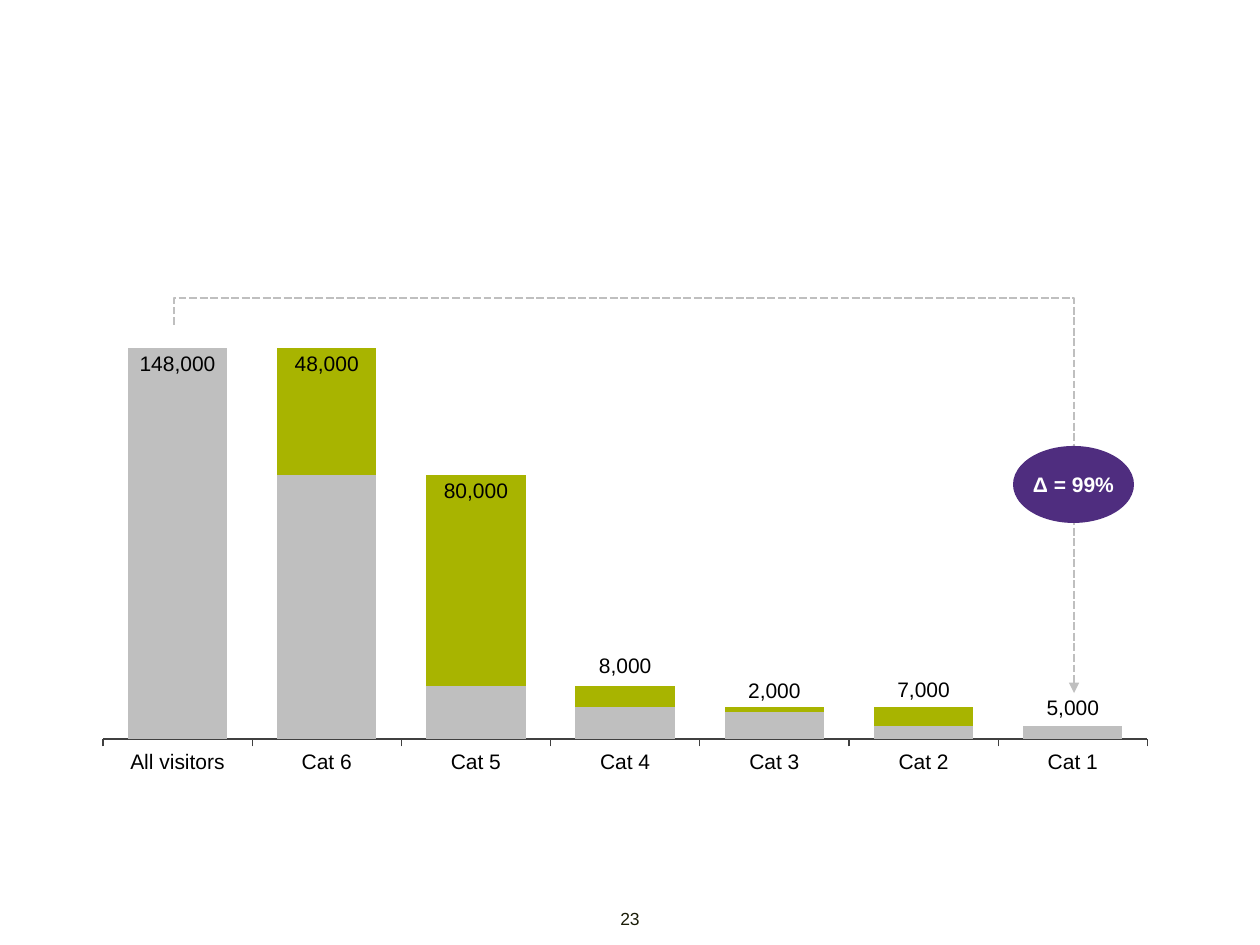
"""Build the visitor waterfall slide: stacked columns with a delta callout."""
from dataclasses import dataclass, field
from typing import Optional

from lxml import etree
from pptx import Presentation
from pptx import util as u
from pptx.chart.data import CategoryChartData
from pptx.dml.color import RGBColor
from pptx.enum import chart as ch
from pptx.enum import dml, shapes, text
from pptx.oxml import parse_xml
from pptx.oxml.ns import nsdecls, qn

SCALE = 914400 / 126


@dataclass(frozen=True)
class Theme:
    font: str = "Arial"
    body: int = 12
    small: int = 10
    ink: str = "000000"
    page: str = "1B1D08"
    axis: str = "404040"
    grey: str = "BFBFBF"
    green: str = "A8B400"
    purple: str = "4F2D7F"
    white: str = "FFFFFF"


@dataclass(frozen=True)
class Box:
    x: int
    y: int
    w: int
    h: int

    def emu(self) -> tuple:
        return tuple(px(v) for v in (self.x, self.y, self.w, self.h))


@dataclass(frozen=True)
class Series:
    name: str
    color: str
    values: tuple[Optional[int], ...]
    label_shifts: dict[int, int] = field(default_factory=dict)


THEME = Theme()
CHART = Box(82, 299, 1103, 495)
PLOT = Box(21, 18, 1045, 422)
BADGE = Box(1013, 446, 121, 77)
PAGE = Box(611, 907, 38, 22)
ROUTE = ((174, 325), (174, 298), (1074, 298), (1074, 693))
CATEGORIES = ("All visitors", "Cat 6", "Cat 5", "Cat 4", "Cat 3", "Cat 2", "Cat 1")
SERIES = (
    Series("Series 1", THEME.grey,
           (148000, 100000, 20000, 12000, 10000, 5000, 5000), {0: 0, 6: -33}),
    Series("Series 2", THEME.green,
           (None, 48000, 80000, 8000, 2000, 7000, None),
           {1: 0, 2: 0, 3: -36, 4: -32, 5: -33}),
)


def px(value: int) -> u.Emu:
    return u.Emu(round(value * SCALE))


def rgb(color: str) -> RGBColor:
    return RGBColor.from_string(color)


def set_font(font, size: int, color: str, bold: bool = False) -> None:
    font.name, font.size, font.bold = THEME.font, u.Pt(size), bold
    font.color.rgb = rgb(color)


def write(sp, words: str, size: int, color: str, bold: bool = False) -> None:
    tf = sp.text_frame
    tf.margin_left = tf.margin_right = tf.margin_top = tf.margin_bottom = 0
    tf.word_wrap = True
    tf.vertical_anchor = text.MSO_ANCHOR.MIDDLE
    p = tf.paragraphs[0]
    p.text, p.alignment = words, text.PP_ALIGN.CENTER
    set_font(p.font, size, color, bold)


def manual_layout(**settings):
    items = "".join(f'<c:{key} val="{val}"/>' for key, val in settings.items())
    return parse_xml(f'<c:layout {nsdecls("c")}><c:manualLayout>{items}'
                     "</c:manualLayout></c:layout>")


def place_plot(chart) -> None:
    area = chart.plots[0]._element.getparent()
    for old in area.findall(qn("c:layout")):
        area.remove(old)
    area.insert(0, manual_layout(
        layoutTarget="inner", xMode="edge", yMode="edge",
        x=round(PLOT.x / CHART.w, 3), y=round(PLOT.y / CHART.h, 3),
        w=round(PLOT.w / CHART.w, 3), h=round(PLOT.h / CHART.h, 3)))


def style_series(series, data: Series) -> None:
    series.format.fill.solid()
    series.format.fill.fore_color.rgb = rgb(data.color)
    labels = series.data_labels
    labels.show_value = False
    labels.number_format, labels.number_format_is_linked = "#,##0", False
    for index, shift in data.label_shifts.items():
        label = series.points[index].data_label
        label.position = ch.XL_LABEL_POSITION.INSIDE_END
        if shift:
            for node in labels._element.findall(qn("c:dLbl")):
                if node.find(qn("c:idx")).get("val") == str(index):
                    node.insert(1, manual_layout(x=0, y=round(shift / CHART.h, 3)))


def add_columns(slide) -> None:
    data = CategoryChartData(number_format="#,##0")
    data.categories = CATEGORIES
    for row in SERIES:
        data.add_series(row.name, row.values)
    chart = slide.shapes.add_chart(
        ch.XL_CHART_TYPE.COLUMN_STACKED, *CHART.emu(), data).chart
    chart.has_legend = chart.has_title = False
    set_font(chart.font, THEME.body, THEME.ink)
    plot = chart.plots[0]
    plot.gap_width, plot.overlap, plot.vary_by_categories = 50, 100, False
    values, cats = chart.value_axis, chart.category_axis
    values.minimum_scale, values.maximum_scale = 0, 160000
    values.has_major_gridlines = values.visible = False
    cats.major_tick_mark = ch.XL_TICK_MARK.OUTSIDE
    cats.format.line.color.rgb = rgb(THEME.axis)
    cats.format.line.width = u.Pt(0.75)
    for series, row in zip(plot.series, SERIES):
        style_series(series, row)
    place_plot(chart)


def add_route(slide) -> None:
    start, *rest = ROUTE
    builder = slide.shapes.build_freeform(*start, scale=SCALE)
    builder.add_line_segments(rest, close=False)
    sp = builder.convert_to_shape()
    sp.shadow.inherit = False
    sp.fill.background()
    sp.line.color.rgb = rgb(THEME.grey)
    sp.line.width = u.Pt(1.5)
    sp.line.dash_style = dml.MSO_LINE.SQUARE_DOT
    etree.SubElement(sp.line._get_or_add_ln(), qn("a:tailEnd"), type="triangle")


def add_badge(slide) -> None:
    sp = slide.shapes.add_shape(shapes.MSO_SHAPE.OVAL, *BADGE.emu())
    sp.shadow.inherit = False
    sp.fill.solid()
    sp.fill.fore_color.rgb = rgb(THEME.purple)
    sp.line.fill.background()
    write(sp, "Δ = 99%", THEME.body, THEME.white, bold=True)


def main() -> None:
    prs = Presentation()
    prs.slide_width, prs.slide_height = px(1260), px(945)
    slide = prs.slides.add_slide(prs.slide_layouts[6])
    write(slide.shapes.add_textbox(*PAGE.emu()), "23", THEME.small, THEME.page)
    add_columns(slide)
    add_route(slide)
    add_badge(slide)
    prs.save("out.pptx")


if __name__ == "__main__":
    main()
